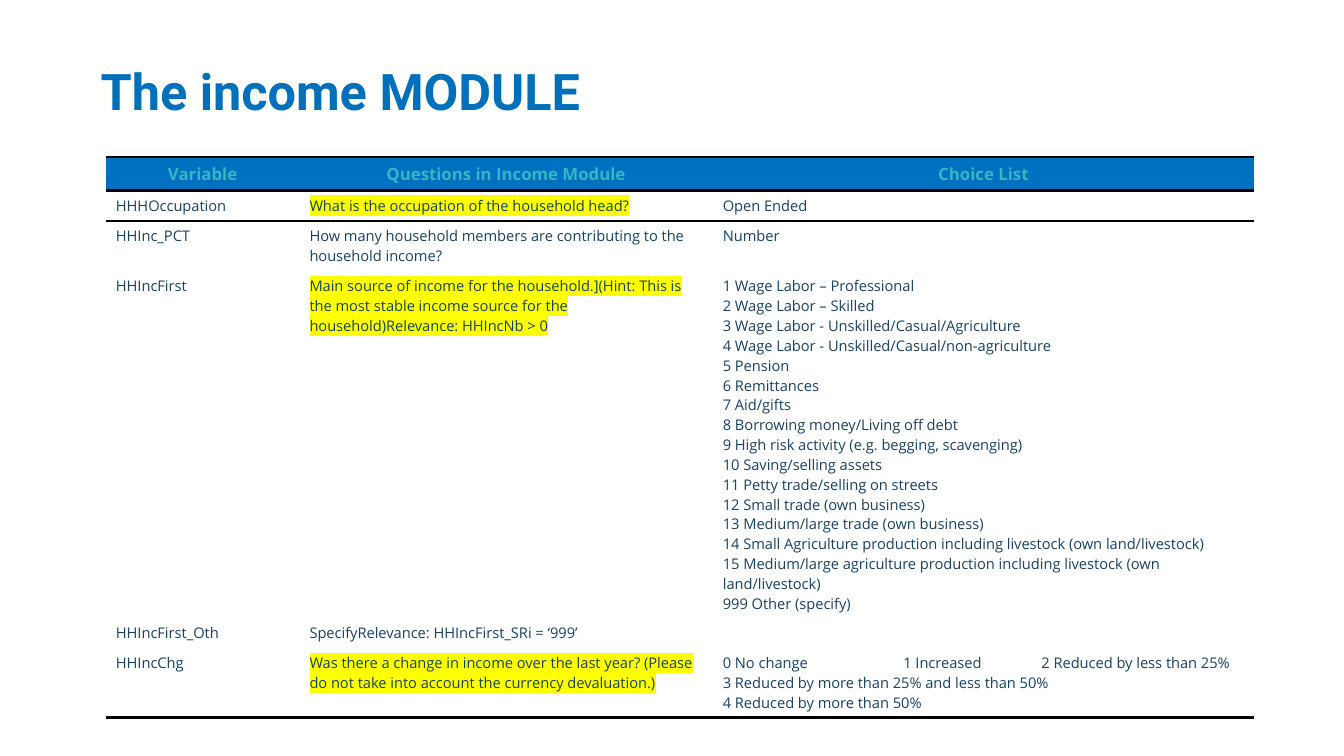
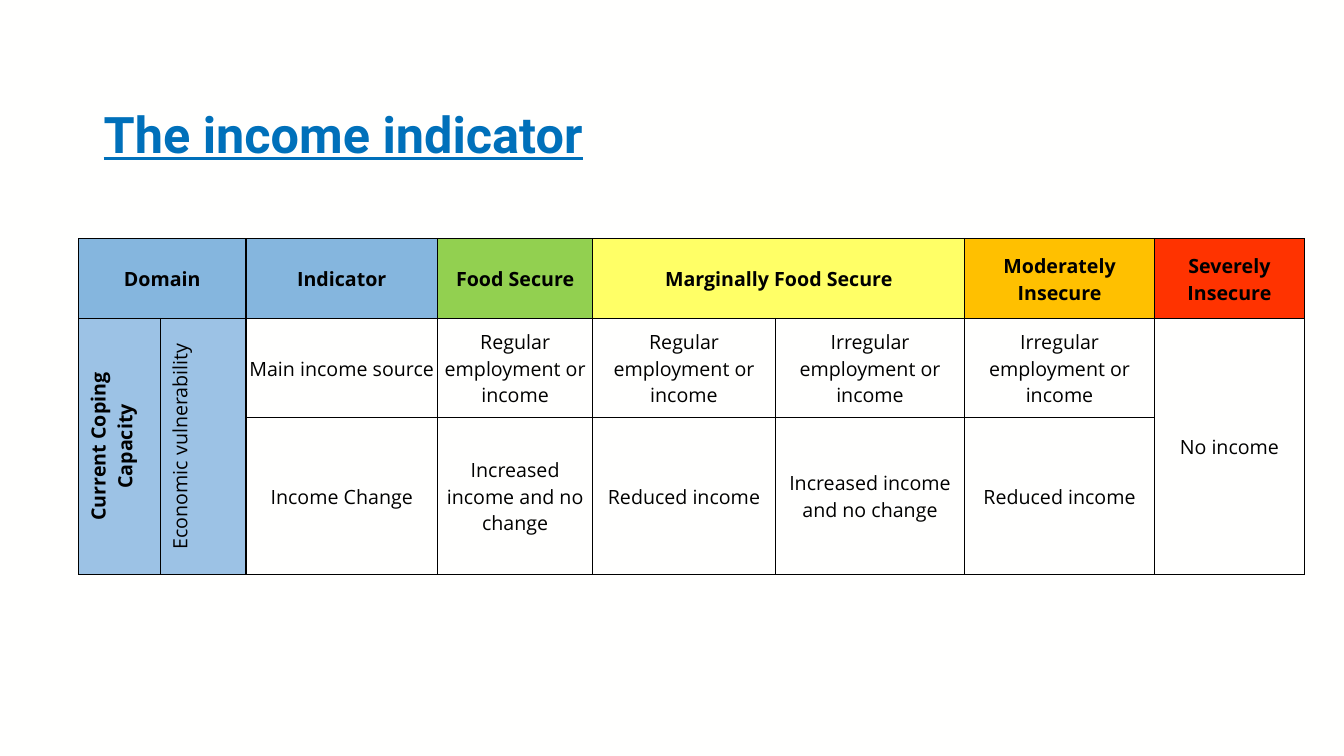
from lxml import etree
from pptx import Presentation
from pptx.dml.color import RGBColor
from pptx.enum.text import MSO_ANCHOR, PP_ALIGN
from pptx.oxml.ns import qn
from pptx.util import Inches, Pt

TOP, MIDDLE = MSO_ANCHOR.TOP, MSO_ANCHOR.MIDDLE
LEFT, CENTER = PP_ALIGN.LEFT, PP_ALIGN.CENTER

PAPER = RGBColor(0xFF, 0xFF, 0xFE)
WHITE = RGBColor(0xFF, 0xFF, 0xFF)
BLACK = RGBColor(0x00, 0x00, 0x00)
TITLE_BLUE = RGBColor(0x00, 0x70, 0xBA)
HEADER_BLUE = RGBColor(0x00, 0x70, 0xC0)
HEADER_TEAL = RGBColor(0x36, 0xB5, 0xC5)
NAVY = RGBColor(0x1A, 0x41, 0x61)
MARKER = RGBColor(0xFF, 0xFF, 0x00)
SKY = RGBColor(0x85, 0xB6, 0xDE)
PALE_SKY = RGBColor(0x9C, 0xC2, 0xE5)
GREEN = RGBColor(0x92, 0xD0, 0x50)
YELLOW = RGBColor(0xFF, 0xFF, 0x66)
AMBER = RGBColor(0xFF, 0xC0, 0x00)
RED = RGBColor(0xFF, 0x33, 0x00)

TITLE_FONT, BODY_FONT = "Roboto", "Open Sans"
TITLE_SIZE = (11.53, 1.26)
PLAIN_TABLE = "{2D5ABB26-0587-4C30-8999-92F81FD0307C}"
DEFAULT_INSETS = (0.1, 0.05, 0.1, 0.05)
WIDE_INSETS = (0.13, 0.06, 0.13, 0.06)
TIGHT_INSETS = (0.01, 0.01, 0.01, 0)

MODULE_COLUMNS = (1.92, 4.1, 5.37)
MODULE_HEADER = ("Variable", "Questions in Income Module", "Choice List")
INCOME_SOURCES = [
    "1 Wage Labor – Professional",
    "2 Wage Labor – Skilled",
    "3 Wage Labor - Unskilled/Casual/Agriculture",
    "4 Wage Labor - Unskilled/Casual/non-agriculture",
    "5 Pension",
    "6 Remittances",
    "7 Aid/gifts",
    "8 Borrowing money/Living off debt",
    "9 High risk activity (e.g. begging, scavenging)",
    "10 Saving/selling assets",
    "11 Petty trade/selling on streets",
    "12 Small trade (own business)",
    "13 Medium/large trade (own business)",
    "14 Small Agriculture production including livestock (own land/livestock)",
    "15 Medium/large agriculture production including livestock (own land/livestock)",
    "999 Other (specify)",
]
INCOME_CHANGES = [
    "0 No change\t1 Increased\t2 Reduced by less than 25%",
    "3 Reduced by more than 25% and less than 50%",
    "4 Reduced by more than 50%",
]
CHANGE_TABS = (1.79, 3.16)
# height, variable, question, question highlighted, choices
MODULE_ROWS = [
    (0.3, "HHHOccupation", "What is the occupation of the household head?",
     True, ["Open Ended"]),
    (0.5, "HHInc_PCT",
     "How many household members are contributing to the household income?",
     False, ["Number"]),
    (3.44, "HHIncFirst",
     "Main source of income for the household.](Hint: This is the most stable "
     "income source for the household)Relevance: HHIncNb > 0",
     True, INCOME_SOURCES),
    (0.3, "HHIncFirst_Oth", "SpecifyRelevance: HHIncFirst_SRi = ‘999’", False, []),
    (0.69, "HHIncChg",
     "Was there a change in income over the last year? (Please do not take into "
     "account the currency devaluation.)",
     True, INCOME_CHANGES),
]

INDICATOR_COLUMNS = (0.81, 0.85, 1.9, 1.54, 1.81, 1.88, 1.88, 1.49)
INDICATOR_ROWS = (0.79, 0.98, 1.56)
# first column, columns spanned, text, fill
INDICATOR_HEADER = [
    (0, 2, "Domain", SKY),
    (2, 1, "Indicator", SKY),
    (3, 1, "Food Secure", GREEN),
    (4, 2, "Marginally Food Secure", YELLOW),
    (6, 1, "Moderately Insecure", AMBER),
    (7, 1, "Severely Insecure", RED),
]
# column, text, bold, turned upwards, fill
INDICATOR_SIDES = [
    (0, "Current Coping Capacity", True, True, PALE_SKY),
    (1, "Economic vulnerability", False, True, PALE_SKY),
    (7, "No income", False, False, None),
]
INDICATOR_BODY = [
    ("Main income source", "Regular employment or income",
     "Regular employment or income", "Irregular employment or income",
     "Irregular employment or income"),
    ("Income Change", "Increased income and no change", "Reduced income",
     "Increased income and no change", "Reduced income"),
]


def add_slide(deck, title, left, top, underline=False):
    page = deck.slides.add_slide(deck.slide_layouts[6])
    page.background.fill.solid()
    page.background.fill.fore_color.rgb = PAPER
    width, height = TITLE_SIZE
    box = page.shapes.add_textbox(Inches(left), Inches(top), Inches(width), Inches(height))
    frame = box.text_frame
    frame.word_wrap = True
    frame.vertical_anchor = MIDDLE
    para = frame.paragraphs[0]
    para.line_spacing = 0.9
    add_span(para, title, TITLE_FONT, 36, TITLE_BLUE, bold=True).font.underline = underline
    return page


def add_span(para, text, font, size, color, bold=False, marked=False):
    span = para.add_run()
    span.text = text
    span.font.size = Pt(size)
    span.font.bold = bold
    span.font.color.rgb = color
    if marked:
        highlight = etree.SubElement(span.font._element, qn("a:highlight"))
        etree.SubElement(highlight, qn("a:srgbClr"), val=str(MARKER))
    span.font.name = font
    return span


def add_plain_table(page, left, top, columns, rows):
    frame = page.shapes.add_table(len(rows), len(columns), Inches(left), Inches(top),
                                  Inches(sum(columns)), Inches(sum(rows)))
    table = frame.table
    table.first_row = table.horz_banding = False
    table._tbl.tblPr.find(qn("a:tableStyleId")).text = PLAIN_TABLE
    for column, width in zip(table.columns, columns):
        column.width = Inches(width)
    for row, height in zip(table.rows, rows):
        row.height = Inches(height)
    return table


def set_borders(cell, sides, width):
    """Rule the given sides, a string in the order LRTB, in black."""
    properties = cell._tc.get_or_add_tcPr()
    for index, side in enumerate(sides):
        line = etree.Element(qn("a:ln" + side), w=str(Pt(width)))
        fill = etree.SubElement(line, qn("a:solidFill"))
        etree.SubElement(fill, qn("a:srgbClr"), val=str(BLACK))
        properties.insert(index, line)


def set_tabs(para, stops):
    tabs = etree.SubElement(para._p.get_or_add_pPr(), qn("a:tabLst"))
    for stop in stops:
        etree.SubElement(tabs, qn("a:tab"), pos=str(Inches(stop)), algn="l")


def fill_cell(cell, lines, size, color, fill=None, bold=False, marked=False,
              align=CENTER, anchor=MIDDLE, insets=TIGHT_INSETS):
    if fill is None:
        cell.fill.background()
    else:
        cell.fill.solid()
        cell.fill.fore_color.rgb = fill
    cell.vertical_anchor = anchor
    (cell.margin_left, cell.margin_top,
     cell.margin_right, cell.margin_bottom) = map(Inches, insets)
    frame = cell.text_frame
    for index, text in enumerate(lines):
        para = frame.add_paragraph() if index else frame.paragraphs[0]
        para.alignment = align
        if "\t" in text:
            set_tabs(para, CHANGE_TABS)
        add_span(para, text, BODY_FONT, size, color, bold, marked)
    if not lines:
        frame.paragraphs[0].font.size = Pt(size)


def build_module_slide(deck):
    page = add_slide(deck, "The income MODULE", 0.9, 0.3)
    heights = [0.33] + [row[0] for row in MODULE_ROWS]
    table = add_plain_table(page, 1.05, 1.56, MODULE_COLUMNS, heights)
    for column, text in enumerate(MODULE_HEADER):
        fill_cell(table.cell(0, column), [text], 12, HEADER_TEAL, HEADER_BLUE,
                  bold=True, anchor=TOP, insets=DEFAULT_INSETS)
        set_borders(table.cell(0, column), "TB", 2)
        set_borders(table.cell(1, column), "T", 2)
        set_borders(table.cell(len(MODULE_ROWS), column), "B", 2)
    for row, (_, variable, question, marked, choices) in enumerate(MODULE_ROWS, 1):
        for column, lines in enumerate(([variable], [question], choices)):
            fill_cell(table.cell(row, column), lines, 10.5, NAVY, WHITE,
                      marked=marked and column == 1, align=LEFT, anchor=TOP,
                      insets=DEFAULT_INSETS)


def build_indicator_slide(deck):
    page = add_slide(deck, "The income indicator", 0.93, 0.73, underline=True)
    table = add_plain_table(page, 0.78, 2.37, INDICATOR_COLUMNS, INDICATOR_ROWS)
    for cell in table.iter_cells():
        set_borders(cell, "LRTB", 1)
    for column, span, text, fill in INDICATOR_HEADER:
        cell = table.cell(0, column)
        if span > 1:
            cell.merge(table.cell(0, column + span - 1))
        fill_cell(cell, [text], 14, BLACK, fill, bold=True,
                  insets=WIDE_INSETS if span > 1 else TIGHT_INSETS)
    for column, text, bold, turned, fill in INDICATOR_SIDES:
        cell = table.cell(1, column)
        cell.merge(table.cell(2, column))
        fill_cell(cell, [text], 14, BLACK, fill, bold=bold,
                  anchor=TOP if turned else MIDDLE, insets=WIDE_INSETS)
        if turned:
            cell._tc.get_or_add_tcPr().set("vert", "vert270")
    for row, texts in enumerate(INDICATOR_BODY, 1):
        for column, text in enumerate(texts, 2):
            fill_cell(table.cell(row, column), [text], 14, BLACK)


def main():
    deck = Presentation()
    deck.slide_width, deck.slide_height = Inches(13.33), Inches(7.5)
    build_module_slide(deck)
    build_indicator_slide(deck)
    deck.save("out.pptx")


if __name__ == "__main__":
    main()
